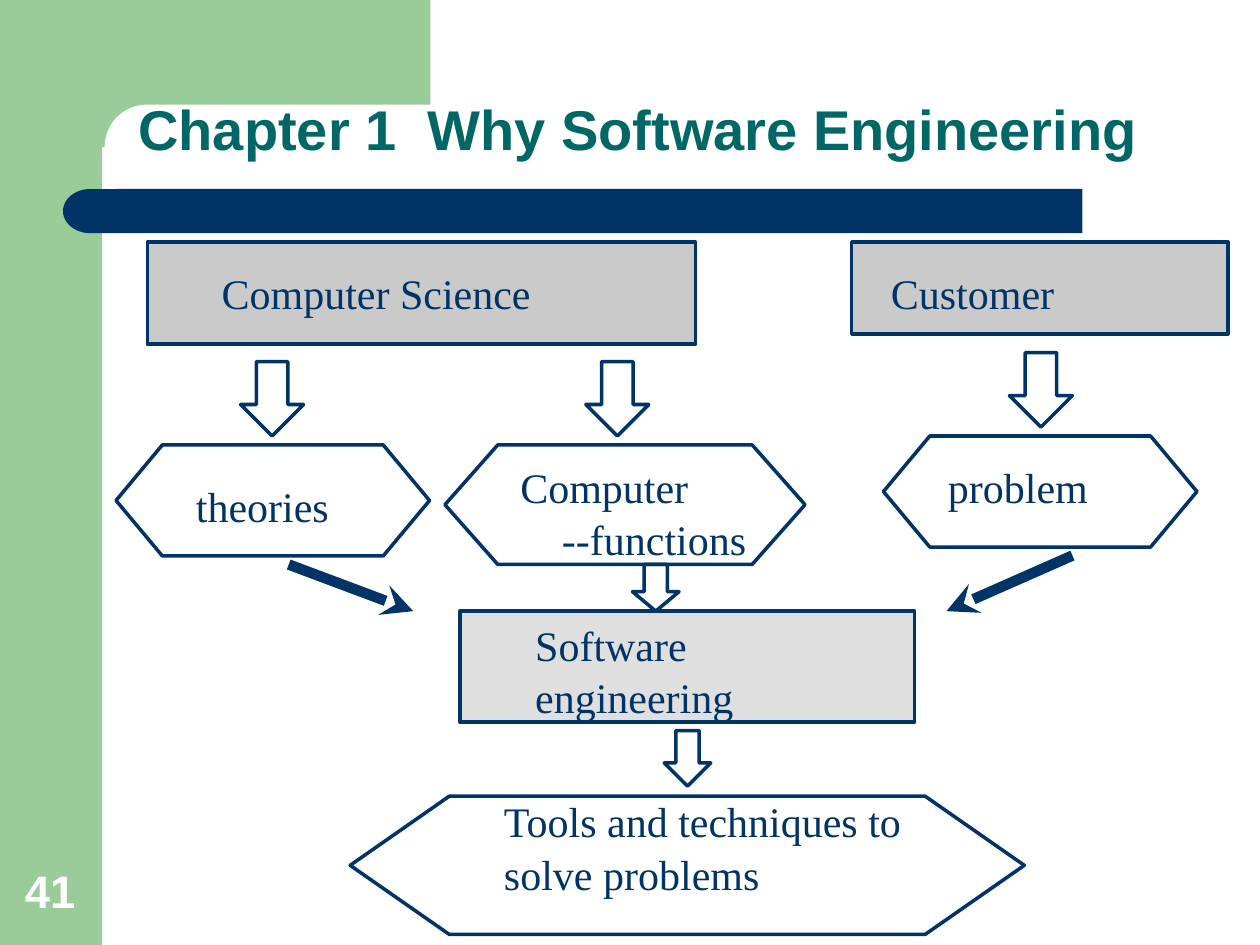
import pptx
import pptx.util
import pptx.dml.color
import pptx.enum.shapes
import pptx.enum.text
import pptx.oxml
import pptx.oxml.ns

Cm = pptx.util.Cm
Pt = pptx.util.Pt
RGBColor = pptx.dml.color.RGBColor
SHAPE = pptx.enum.shapes.MSO_SHAPE
ALIGN = pptx.enum.text.PP_ALIGN
ANCHOR = pptx.enum.text.MSO_ANCHOR

GREEN = RGBColor(0x99, 0xCC, 0x99)
NAVY = RGBColor(0x00, 0x33, 0x66)
TEAL = RGBColor(0x00, 0x66, 0x66)
WHITE = RGBColor(0xFF, 0xFF, 0xFF)
GREY = RGBColor(0x96, 0x96, 0x96)
SILVER = RGBColor(0xC0, 0xC0, 0xC0)

DECORATIONS = [
    (SHAPE.RECTANGLE, (0, 0, 2.06, 19.05), GREEN, [], 0),
    (SHAPE.RECTANGLE, (1.85, 0, 6.83, 2.97), GREEN, [], 0),
    (SHAPE.ROUNDED_RECTANGLE, (2.11, 2.11, 14.17, 1.7), WHITE, [0.5], 0),
    (SHAPE.RECTANGLE, (2.34, 3.81, 19.48, 0.89), NAVY, [], 0),
    (SHAPE.FLOWCHART_DELAY, (1.27, 3.81, 1.09, 0.89), NAVY, [], 180),
]
BOXES = [
    ((2.97, 4.88, 11.05, 2.06), GREY),
    ((17.17, 4.88, 7.59, 1.85), GREY),
    ((9.27, 12.32, 9.17, 2.24), SILVER),
]
HEXAGONS = [
    ((2.34, 8.97, 6.32, 2.24), 0.417),
    ((8.97, 8.97, 7.26, 2.41), 0.442),
    ((17.81, 8.79, 6.32, 2.24), 0.417),
    ((7.06, 16.05, 13.59, 2.79), 0.717),
]
BLOCK_ARROWS = [
    ((11.81, 7.29, 1.27, 1.5), 0.5),
    ((4.85, 7.29, 1.27, 1.5), 0.5),
    ((20.35, 7.11, 1.27, 1.5), 0.5),
    ((13.39, 14.73, 0.94, 1.12), 0.5),
    ((12.75, 11.38, 0.94, 0.94), 0.417),
]
LINE_ARROWS = [
    (21.62, 11.2, 19.08, 12.32),
    (5.82, 11.38, 8.33, 12.32),
]
LABELS = [
    ((4.22, 5.23, 9.8, 1.27), [("Computer Science", 0)]),
    ((17.5, 5.23, 6.63, 1.27), [("Customer", 0.21)]),
    ((3.28, 9.53, 5.69, 1.27), [("theories", 0.42)]),
    ((9.6, 9.14, 5.99, 2.29), [("Computer", 0.64), ("--functions", 1.48)]),
    ((18.44, 9.14, 5.38, 1.27), [("problem", 0.42)]),
    ((10.54, 12.32, 7.9, 2.29), [("Software", 0), ("engineering", 0)]),
    ((9.91, 15.88, 10.44, 2.29), [("Tools and techniques to solve problems", 0)]),
]
TITLE = ((2.54, 1.4, 22.22, 2.01), [("Chapter 1  Why Software Engineering", 0)])
PAGE_NUMBER = ((0.2, 17.27, 1.63, 1.35), [("41", 0)])

LABEL_FONT = {"name": "Times New Roman", "size": Pt(24), "bold": False}
TITLE_FONT = {"name": "Arial", "size": Pt(32), "bold": True}
NUMBER_FONT = {"name": "Arial", "size": Pt(26), "bold": True}
LABEL_LAYOUT = {"line_spacing": 1.04}
TITLE_LAYOUT = {"line_spacing": 0.9}
NUMBER_LAYOUT = {"alignment": ALIGN.CENTER}


def apply(target, values):
    for name, value in values.items():
        setattr(target, name, value)


def add_shape(slide, kind, place, fill=None, line=None, adjustments=()):
    shape = slide.shapes.add_shape(kind, *map(Cm, place))
    shape.shadow.inherit = False
    for index, value in enumerate(adjustments):
        shape.adjustments[index] = value
    if fill is None:
        shape.fill.background()
    else:
        shape.fill.solid()
        shape.fill.fore_color.rgb = fill
    if line is None:
        shape.line.fill.background()
    else:
        shape.line.color.rgb = line
        shape.line.width = Pt(2)
    return shape


def make_half_transparent(shape):
    color = shape.fill._xPr.find(".//" + pptx.oxml.ns.qn("a:srgbClr"))
    alpha = pptx.oxml.parse_xml(f'<a:alpha {pptx.oxml.ns.nsdecls("a")} val="50000"/>')
    color.append(alpha)


def add_line_arrow(slide, ends):
    straight = pptx.enum.shapes.MSO_CONNECTOR.STRAIGHT
    connector = slide.shapes.add_connector(straight, *map(Cm, ends))
    connector.line.color.rgb = NAVY
    connector.line.width = Pt(6)
    namespace = pptx.oxml.ns.nsdecls("a")
    connector.line._get_or_add_ln().append(
        pptx.oxml.parse_xml(f'<a:tailEnd {namespace} type="stealth"/>'))
    connector._element.spPr.append(pptx.oxml.parse_xml(f"<a:effectLst {namespace}/>"))


def add_text(slide, content, font, color, layout, anchor=ANCHOR.TOP):
    place, lines = content
    frame = slide.shapes.add_textbox(*map(Cm, place)).text_frame
    apply(frame, {"word_wrap": True, "vertical_anchor": anchor})
    for index, (text, indent) in enumerate(lines):
        paragraph = frame.add_paragraph() if index else frame.paragraphs[0]
        apply(paragraph, layout)
        paragraph._p.get_or_add_pPr().set("marL", str(Cm(indent)))
        run = paragraph.add_run()
        run.text = text
        apply(run.font, font)
        run.font.color.rgb = color


def main():
    presentation = pptx.Presentation()
    apply(presentation, {"slide_width": Cm(25.4), "slide_height": Cm(19.05)})
    slide = presentation.slides.add_slide(presentation.slide_layouts[6])

    for kind, place, fill, adjustments, rotation in DECORATIONS:
        shape = add_shape(slide, kind, place, fill, adjustments=adjustments)
        shape.rotation = rotation
    add_text(slide, PAGE_NUMBER, NUMBER_FONT, WHITE, NUMBER_LAYOUT, ANCHOR.BOTTOM)
    add_text(slide, TITLE, TITLE_FONT, TEAL, TITLE_LAYOUT, ANCHOR.BOTTOM)

    for place, fill in BOXES:
        make_half_transparent(add_shape(slide, SHAPE.RECTANGLE, place, fill, NAVY))
    for place, slant in HEXAGONS:
        add_shape(slide, SHAPE.HEXAGON, place, line=NAVY, adjustments=[slant])
    for place, head in BLOCK_ARROWS:
        add_shape(slide, SHAPE.DOWN_ARROW, place, line=NAVY, adjustments=[0.5, head])
    for label in LABELS:
        add_text(slide, label, LABEL_FONT, NAVY, LABEL_LAYOUT)
    for ends in LINE_ARROWS:
        add_line_arrow(slide, ends)

    presentation.save("out.pptx")


if __name__ == "__main__":
    main()
